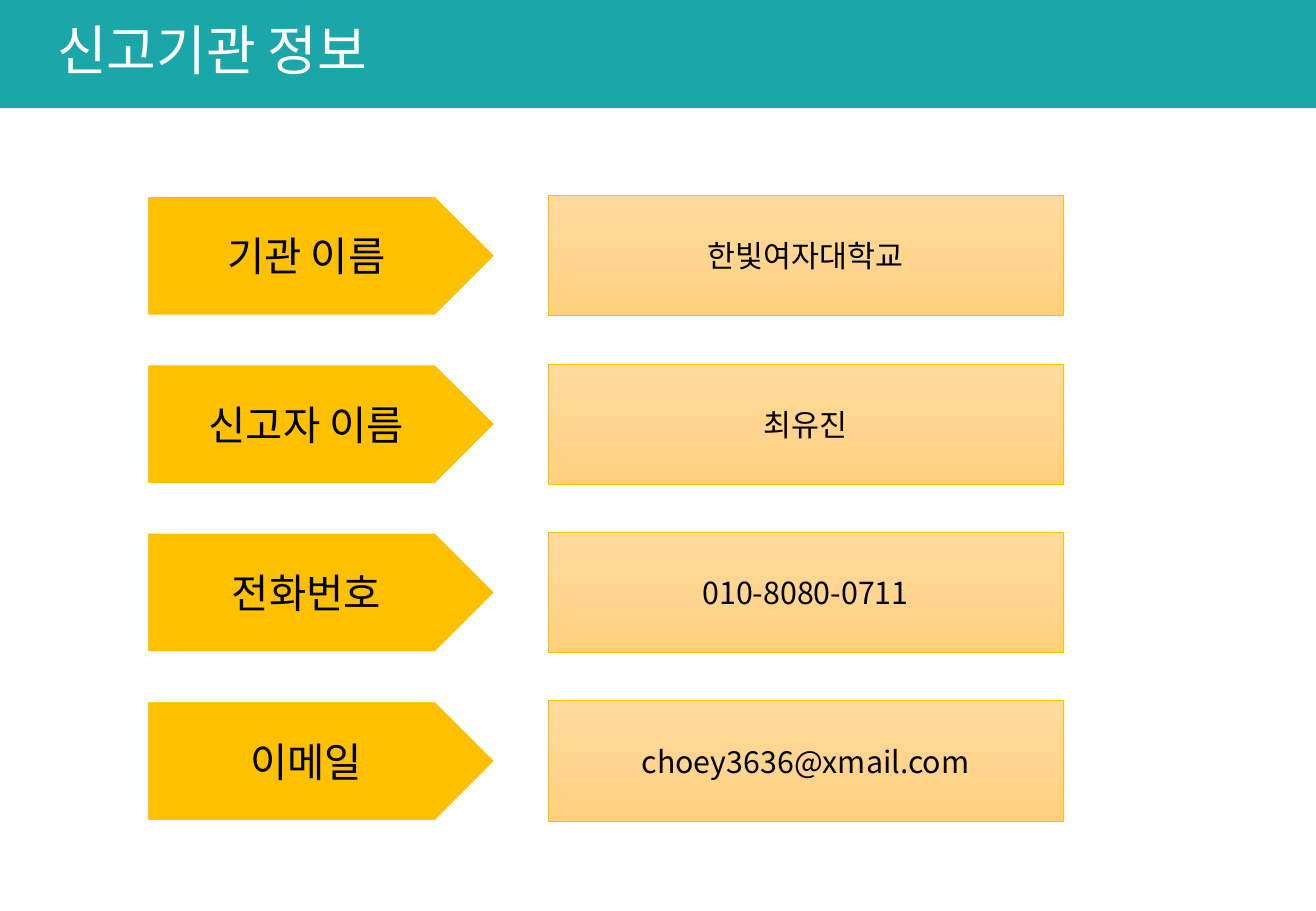
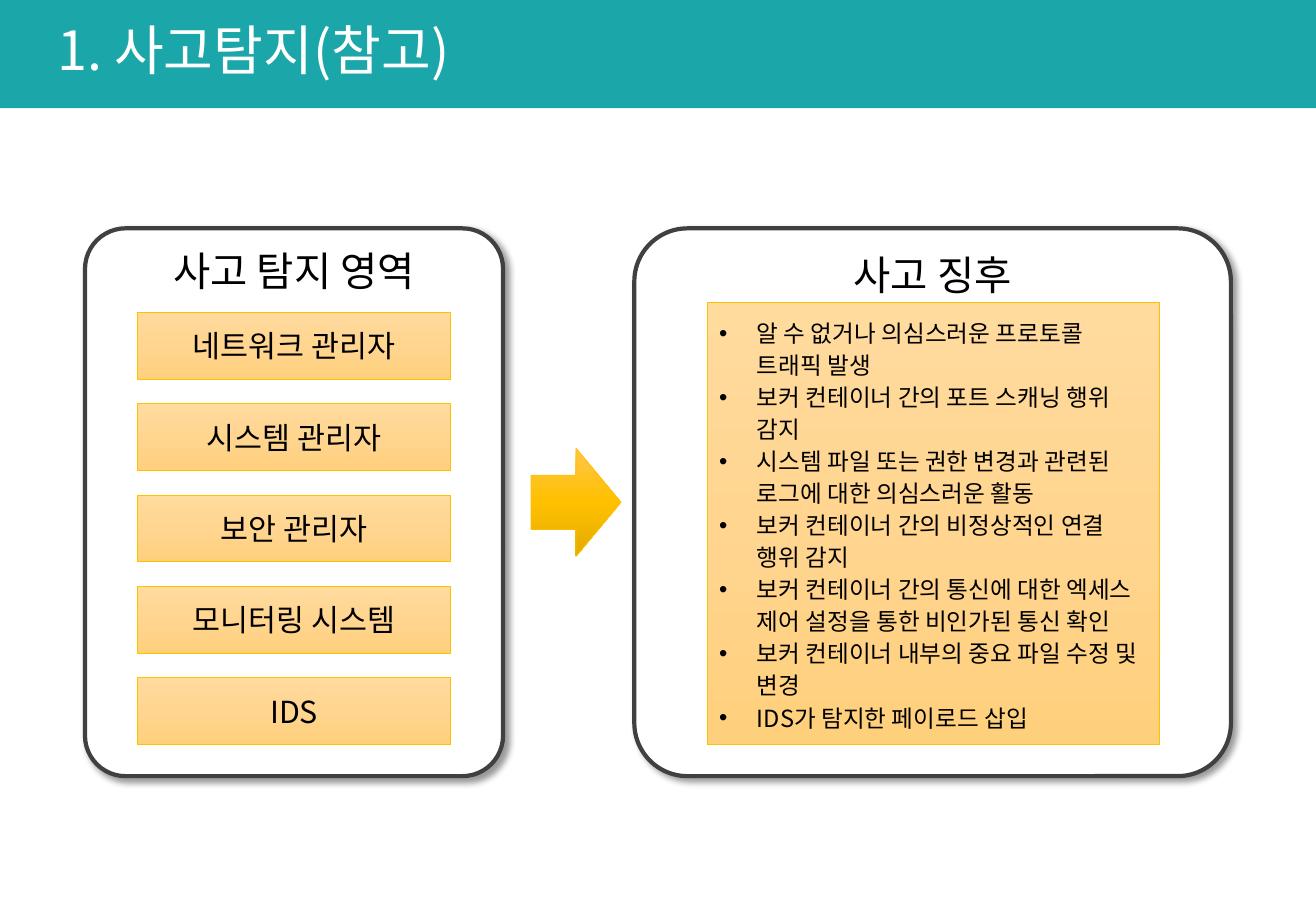
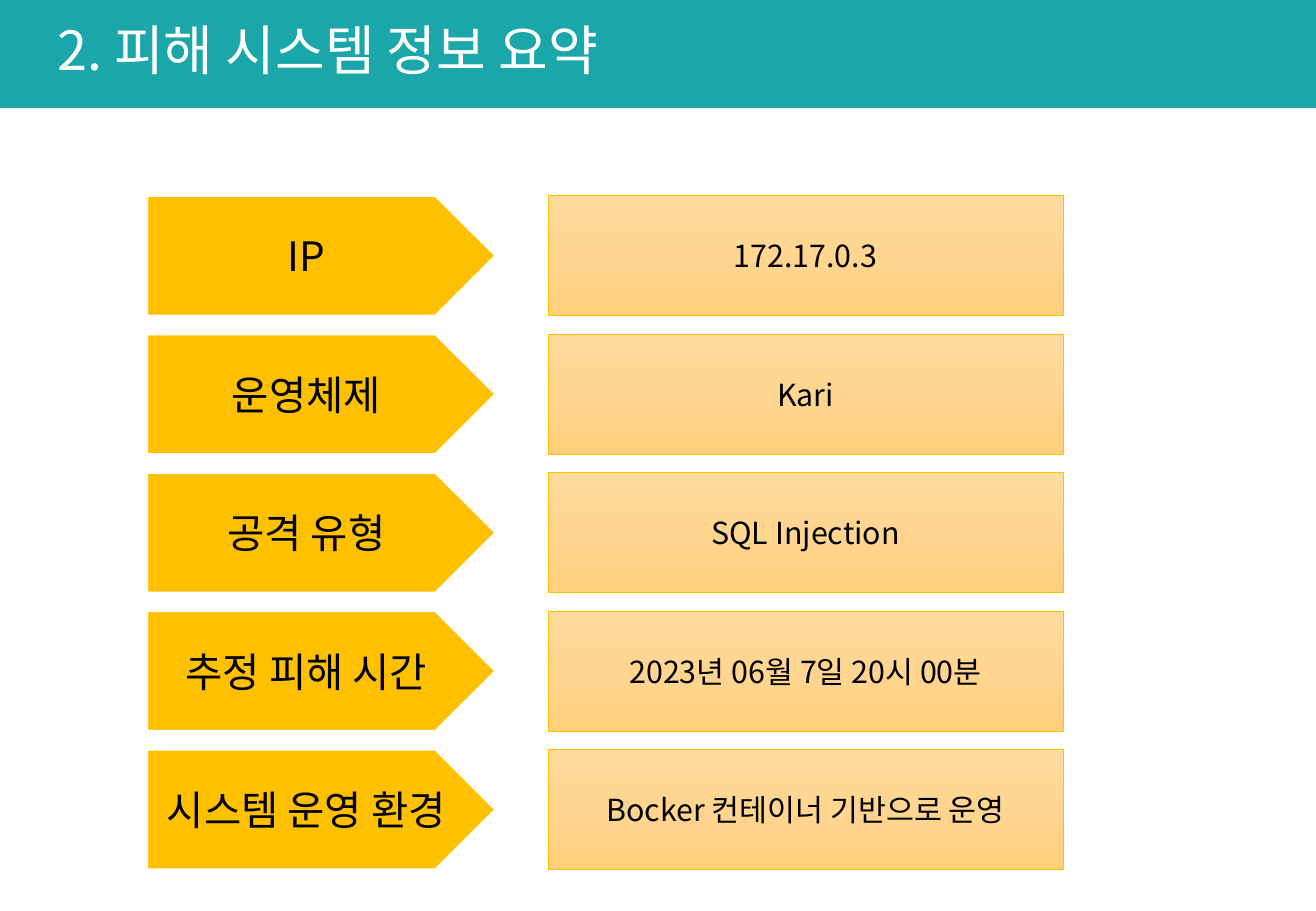
from copy import deepcopy

from lxml.etree import SubElement
from pptx import Presentation
from pptx.dml.color import RGBColor
from pptx.enum.shapes import MSO_SHAPE
from pptx.enum.text import MSO_ANCHOR, MSO_AUTO_SIZE, PP_ALIGN
from pptx.oxml.ns import qn
from pptx.util import Inches, Pt

FONT = "Noto Sans CJK KR"
WHITE = RGBColor(0xFF, 0xFF, 0xFF)
BLACK = RGBColor(0, 0, 0)
TEAL = RGBColor(0x1B, 0xA6, 0xA9)
GOLD = RGBColor(0xFF, 0xC0, 0x00)
GREY = RGBColor(0x40, 0x40, 0x40)
PALE = (RGBColor(0xFF, 0xDB, 0x9E), RGBColor(0xFF, 0xD5, 0x90),
        RGBColor(0xFF, 0xD0, 0x7C))
DEEP = (RGBColor(0xFF, 0xC6, 0x4B), GOLD, RGBColor(0xE3, 0xAB, 0x00))
WIDTH, HEIGHT = 10.83, 7.5


def write(par, text, size, color=BLACK, align=PP_ALIGN.CENTER):
    """Add one run of text to a paragraph."""
    par.alignment = align
    run = par.add_run()
    run.text = text
    font = run.font
    font.size, font.name = Pt(size), FONT
    font.color.rgb = color
    SubElement(font._element, qn("a:ea"), typeface=FONT)


def shade(shape, tones):
    """Fill a shape with three tones from top to bottom."""
    fill = shape.fill
    fill.gradient()
    fill.gradient_angle = 270
    stops = shape._element.spPr.find(qn("a:gradFill")).find(qn("a:gsLst"))
    stops.insert(1, deepcopy(stops[0]))
    for stop, tone, place in zip(fill.gradient_stops, tones, (0, 0.5, 1)):
        stop.color.rgb = tone
        stop.position = place


def draw(slide, kind, box, fill, line, width):
    """Draw a preset shape with a plain or graded fill and no shadow."""
    shape = slide.shapes.add_shape(kind, *map(Inches, box))
    shape.shadow.inherit = False
    if isinstance(fill, RGBColor):
        shape.fill.solid()
        shape.fill.fore_color.rgb = fill
    else:
        shade(shape, fill)
    shape.line.color.rgb = line
    shape.line.width = Pt(width)
    frame = shape.text_frame
    frame.word_wrap = True
    frame.vertical_anchor = MSO_ANCHOR.MIDDLE
    return shape


def card(slide, box, text):
    """Draw a pale box with a centred value."""
    shape = draw(slide, MSO_SHAPE.RECTANGLE, box, PALE, GOLD, 0.5)
    write(shape.text_frame.paragraphs[0], text, 18)


def label(slide, box, text):
    """Draw a gold pointer that names a value."""
    shape = draw(slide, MSO_SHAPE.PENTAGON, box, GOLD, WHITE, 1.5)
    write(shape.text_frame.paragraphs[0], text, 24)


def start(deck, text):
    """Add a slide with its title band."""
    slide = deck.slides.add_slide(deck.slide_layouts[5])
    title = slide.shapes.title
    title.left, title.top = Inches(0), Inches(0)
    title.width, title.height = Inches(WIDTH), Inches(0.89)
    title.fill.solid()
    title.fill.fore_color.rgb = TEAL
    frame = title.text_frame
    frame.auto_size = MSO_AUTO_SIZE.NONE
    frame.word_wrap = True
    frame.vertical_anchor = MSO_ANCHOR.TOP
    frame.margin_left, frame.margin_top = Inches(0.47), Inches(0.2)
    par = frame.paragraphs[0]
    par.line_spacing = 0.9
    write(par, text, 32, WHITE, PP_ALIGN.LEFT)
    return slide


def pairs(slide, box, rows):
    """Spread rows of a label and its value evenly down a box."""
    left, top, width, height = box
    high, wide, shift = 0.99, 2.87, 3.3
    step = (height - high) / (len(rows) - 1)
    for i, (name, value) in enumerate(rows):
        y = top + i * step
        label(slide, (left, y, wide, high), name)
        card(slide, (left + shift, y, width - shift, high), value)


def panel(slide, box, text):
    """Draw a rounded panel with a heading and a soft shadow."""
    shape = draw(slide, MSO_SHAPE.ROUNDED_RECTANGLE, box, WHITE, GREY, 2.5)
    shape.adjustments[0] = 0.097
    shape.text_frame.vertical_anchor = MSO_ANCHOR.TOP
    write(shape.text_frame.paragraphs[0], text, 24)
    glow = SubElement(
        shape._element.spPr.find(qn("a:effectLst")), qn("a:outerShdw"),
        blurRad=str(Pt(4)), dist=str(Pt(3)), dir="2700000",
        algn="tl", rotWithShape="0")
    tone = SubElement(glow, qn("a:srgbClr"), val=str(BLACK))
    SubElement(tone, qn("a:alpha"), val="40000")


def areas(slide, box, title, names):
    """Draw a panel with a column of equal cards."""
    left, top, width, height = box
    panel(slide, box, title)
    high, first, side = 0.55, 0.69, 0.43
    step = (height - first - high - 0.26) / (len(names) - 1)
    for i, name in enumerate(names):
        y = top + first + i * step
        card(slide, (left + side, y, width - 2 * side, high), name)


def signs(slide, box, title, lines):
    """Draw a panel with a bulleted list on a pale box."""
    left, top, width, height = box
    panel(slide, box, title)
    inner = (left + 0.6, top + 0.61, width - 1.19, height - 0.87)
    frame = draw(slide, MSO_SHAPE.RECTANGLE, inner, PALE, GOLD,
                 0.5).text_frame
    for i, line in enumerate(lines):
        par = frame.add_paragraph() if i else frame.paragraphs[0]
        par.line_spacing = Pt(19)
        write(par, line, 14, align=PP_ALIGN.LEFT)
        props = par._p.get_or_add_pPr()
        props.set("marL", str(Inches(0.31)))
        props.set("indent", str(Inches(-0.31)))
        SubElement(props, qn("a:buFont"), typeface="Arial")
        SubElement(props, qn("a:buChar"), char="•")


def main():
    """Build the three slides and save them."""
    deck = Presentation()
    deck.slide_width, deck.slide_height = Inches(WIDTH), Inches(HEIGHT)

    slide = start(deck, "신고기관 정보")
    pairs(slide, (1.21, 1.61, 7.54, 5.15), [
        ("기관 이름", "한빛여자대학교"),
        ("신고자 이름", "최유진"),
        ("전화번호", "010-8080-0711"),
        ("이메일", "choey3636@xmail.com"),
    ])

    slide = start(deck, "1. 사고탐지(참고)")
    areas(slide, (0.7, 1.88, 3.44, 4.51), "사고 탐지 영역", [
        "네트워크 관리자", "시스템 관리자", "보안 관리자",
        "모니터링 시스템", "IDS",
    ])
    signs(slide, (5.22, 1.88, 4.91, 4.51), "사고 징후", [
        "알 수 없거나 의심스러운 프로토콜 트래픽 발생",
        "보커 컨테이너 간의 포트 스캐닝 행위 감지",
        "시스템 파일 또는 권한 변경과 관련된 로그에 대한 의심스러운 활동",
        "보커 컨테이너 간의 비정상적인 연결 행위 감지",
        "보커 컨테이너 간의 통신에 대한 엑세스 제어 설정을 통한 비인가된 통신 확인",
        "보커 컨테이너 내부의 중요 파일 수정 및 변경",
        "IDS가 탐지한 페이로드 삽입",
    ])
    draw(slide, MSO_SHAPE.RIGHT_ARROW, (4.37, 3.69, 0.74, 0.89),
         DEEP, GOLD, 0.5)

    slide = start(deck, "2. 피해 시스템 정보 요약")
    pairs(slide, (1.21, 1.61, 7.54, 5.55), [
        ("IP", "172.17.0.3"),
        ("운영체제", "Kari"),
        ("공격 유형", "SQL Injection"),
        ("추정 피해 시간", "2023년 06월 7일 20시 00분"),
        ("시스템 운영 환경", "Bocker 컨테이너 기반으로 운영"),
    ])
    deck.save("out.pptx")


main()
